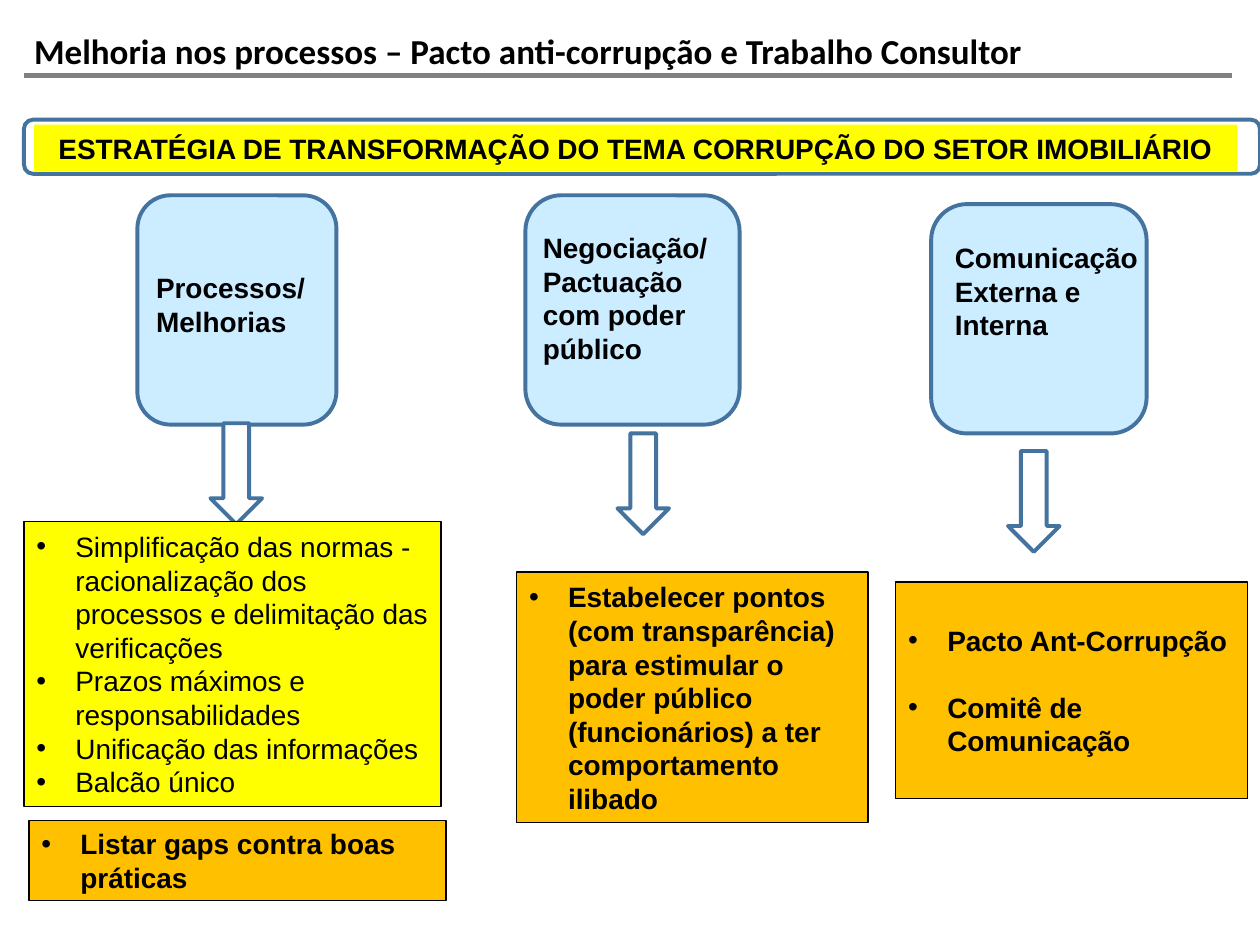
from lxml import etree
from pptx import Presentation
from pptx import util as u
from pptx.dml.color import RGBColor
from pptx.enum import shapes, text
from pptx.oxml.ns import qn

WIDTH, HEIGHT = 10, 7.5
BLACK, WHITE, YELLOW, ORANGE = "000000", "FFFFFF", "FFFF00", "FFC000"
PALE_BLUE, BLUE, GRAY = "CCECFF", "43739E", "808080"
LEFT = 0.19
ARROW_W, ARROW_H = 0.41, 0.8
PILLAR_H = 1.82
LINE_GAP = 19

TITLE = "Melhoria nos processos – Pacto anti-corrupção e Trabalho Consultor"
STRATEGY = "ESTRATÉGIA DE TRANSFORMAÇÃO DO TEMA CORRUPÇÃO DO SETOR IMOBILIÁRIO"

# pillar: left, top, width; label: left, top, width, height; arrow: left, top
PILLARS = [
    ("Processos/ Melhorias", (1.09, 1.55, 1.58), (1.14, 2.1, 1.62, 0.64), (1.67, 3.36)),
    ("Negociação/ Pactuação com poder público",
     (4.17, 1.55, 1.7), (4.21, 1.78, 1.57, 1.18), (4.9, 3.44)),
    ("Comunicação Externa e Interna",
     (7.39, 1.62, 1.71), (7.48, 1.86, 1.67, 0.91), (8, 3.58)),
]

# area, fill, bold, gap between items in points, items
ACTIONS = [
    ((LEFT, 4.14, 3.31, 2.26), YELLOW, False, 0, [
        "Simplificação das normas - racionalização dos processos e delimitação das verificações",
        "Prazos máximos e responsabilidades",
        "Unificação das informações",
        "Balcão único",
    ]),
    ((4.1, 4.54, 2.79, 1.99), ORANGE, True, 0, [
        "Estabelecer pontos (com transparência) para estimular o poder público "
        "(funcionários) a ter comportamento ilibado",
    ]),
    ((7.11, 4.62, 2.79, 1.72), ORANGE, True, LINE_GAP,
     ["Pacto Ant-Corrupção", "Comitê de Comunicação"]),
    ((0.23, 6.51, 3.31, 0.64), ORANGE, True, 0, ["Listar gaps contra boas práticas"]),
]


def color(value):
    return RGBColor.from_string(value)


def inches(values):
    return [u.Inches(value) for value in values]


def add_box(slide, kind, area, fill, line=None, weight=2.25):
    box = slide.shapes.add_shape(kind, *inches(area))
    box.shadow.inherit = False
    box.fill.solid()
    box.fill.fore_color.rgb = color(fill)
    if line:
        box.line.color.rgb = color(line)
        box.line.width = u.Pt(weight)
    else:
        box.line.fill.background()
    return box


def add_run(paragraph, words, size=16, font="Arial", bold=True):
    run = paragraph.add_run()
    run.text = words
    run.font.size = u.Pt(size)
    run.font.name = font
    run.font.bold = bold
    run.font.color.rgb = color(BLACK)


def add_bullet(paragraph, indent=0.31):
    properties = paragraph._p.get_or_add_pPr()
    properties.set("marL", str(u.Inches(indent)))
    properties.set("indent", str(-u.Inches(indent)))
    etree.SubElement(properties, qn("a:buFont")).set("typeface", "Arial")
    etree.SubElement(properties, qn("a:buChar")).set("char", "•")


def add_heading(slide):
    rule = slide.shapes.add_connector(
        shapes.MSO_CONNECTOR.STRAIGHT, *inches((LEFT, 0.6, 9.78, 0.6)))
    rule.line.color.rgb = color(GRAY)
    rule.line.width = u.Pt(3.2)
    etree.SubElement(rule._element.spPr, qn("a:effectLst"))

    title = slide.shapes.title
    title.left, title.top, title.width, title.height = inches((0.27, 0.25, 9.51, 0.35))
    frame = title.text_frame
    frame.margin_left = frame.margin_right = frame.margin_top = frame.margin_bottom = 0
    frame.auto_size = text.MSO_AUTO_SIZE.NONE
    frame.vertical_anchor = text.MSO_ANCHOR.MIDDLE
    paragraph = frame.paragraphs[0]
    paragraph.alignment = text.PP_ALIGN.LEFT
    paragraph.line_spacing = 0.9
    add_run(paragraph, TITLE, size=20, font="Calibri")


def add_strategy(slide):
    add_box(slide, shapes.MSO_SHAPE.ROUNDED_RECTANGLE,
            (LEFT, 0.95, WIDTH - LEFT, 0.43), WHITE, BLUE)
    band = add_box(slide, shapes.MSO_SHAPE.RECTANGLE, (0.27, 0.99, 9.55, 0.37), YELLOW)
    paragraph = band.text_frame.paragraphs[0]
    paragraph.alignment = text.PP_ALIGN.CENTER
    add_run(paragraph, STRATEGY)


def add_pillar(slide, label, pillar, label_area, arrow):
    add_box(slide, shapes.MSO_SHAPE.ROUNDED_RECTANGLE, (*pillar, PILLAR_H), PALE_BLUE, BLUE)
    frame = slide.shapes.add_textbox(*inches(label_area)).text_frame
    frame.word_wrap = True
    add_run(frame.paragraphs[0], label)
    add_box(slide, shapes.MSO_SHAPE.DOWN_ARROW, (*arrow, ARROW_W, ARROW_H), WHITE, BLUE)


def add_actions(slide, area, fill, bold, gap, items):
    box = add_box(slide, shapes.MSO_SHAPE.RECTANGLE, area, fill, BLACK, 0.75)
    frame = box.text_frame
    frame.word_wrap = True
    frame.vertical_anchor = text.MSO_ANCHOR.MIDDLE
    for index, item in enumerate(items):
        paragraph = frame.paragraphs[0] if index == 0 else frame.add_paragraph()
        paragraph.alignment = text.PP_ALIGN.LEFT
        if index and gap:
            paragraph.space_before = u.Pt(gap)
        add_bullet(paragraph)
        add_run(paragraph, item, bold=bold)


def main():
    deck = Presentation()
    deck.slide_width, deck.slide_height = inches((WIDTH, HEIGHT))
    slide = deck.slides.add_slide(deck.slide_layouts[5])
    add_heading(slide)
    add_strategy(slide)
    for pillar in PILLARS:
        add_pillar(slide, *pillar)
    for actions in ACTIONS:
        add_actions(slide, *actions)
    deck.save("out.pptx")


if __name__ == "__main__":
    main()
